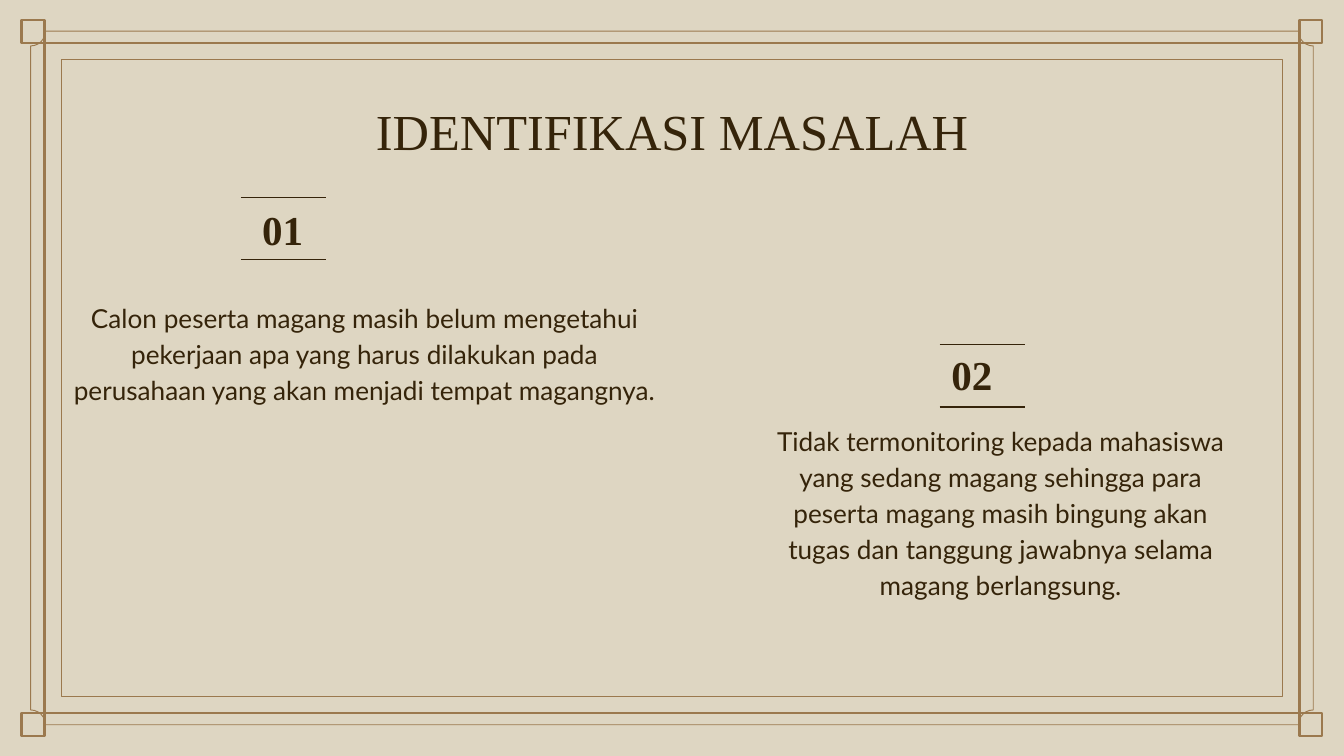
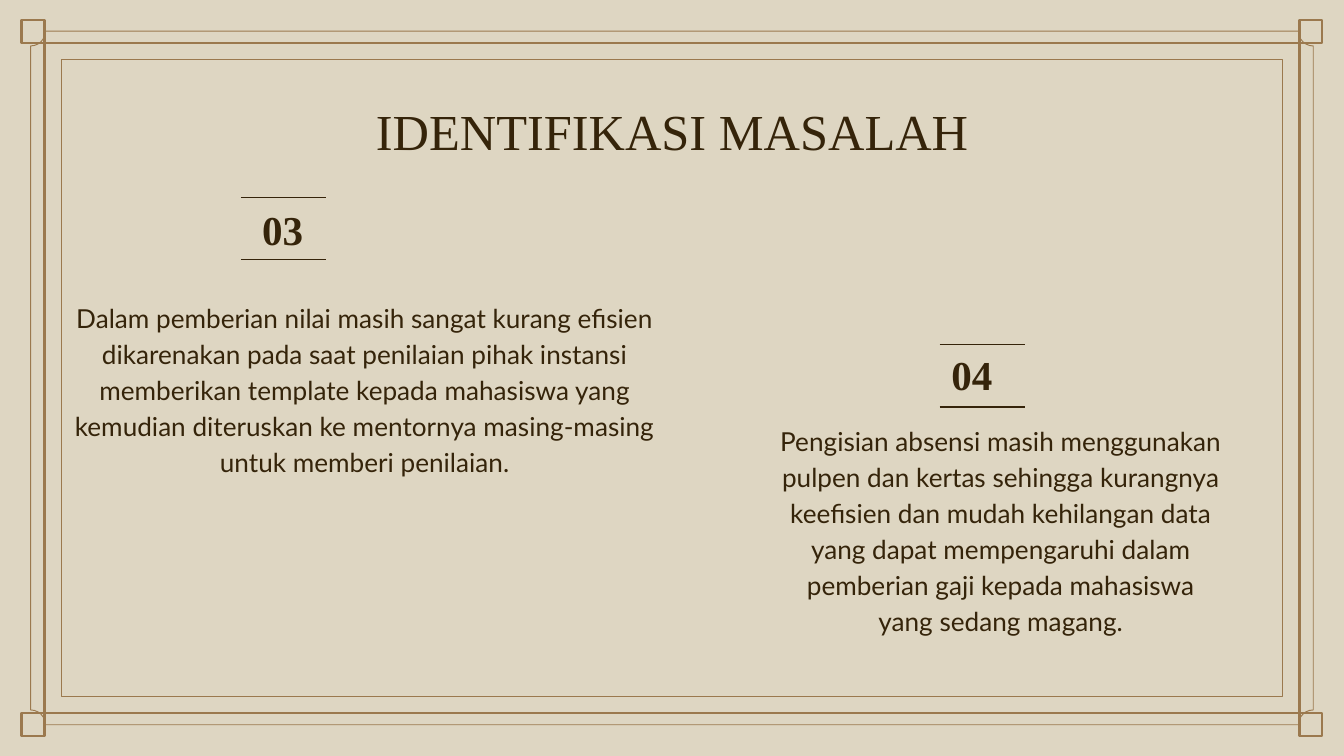
from lxml import etree
from pptx import Presentation
from pptx.dml.color import RGBColor
from pptx.enum.shapes import MSO_CONNECTOR as CONN, MSO_SHAPE as SHAPE
from pptx.enum.text import MSO_ANCHOR as ANCHOR, PP_ALIGN as ALIGN
from pptx.oxml.ns import qn
from pptx.util import Cm, Pt

TITLE = "IDENTIFIKASI MASALAH"
SLIDES = [
    [
        ("01", "Calon peserta magang masih belum mengetahui pekerjaan apa yang harus "
               "dilakukan pada perusahaan yang akan menjadi tempat magangnya."),
        ("02", "Tidak termonitoring kepada mahasiswa yang sedang magang sehingga para "
               "peserta magang masih bingung akan tugas dan tanggung jawabnya selama "
               "magang berlangsung."),
    ],
    [
        ("03", "Dalam pemberian nilai masih sangat kurang efisien dikarenakan pada saat "
               "penilaian pihak instansi memberikan template kepada mahasiswa yang "
               "kemudian diteruskan ke mentornya masing-masing untuk memberi penilaian."),
        ("04", "Pengisian absensi masih menggunakan pulpen dan kertas sehingga kurangnya "
               "keefisien dan mudah kehilangan data yang dapat mempengaruhi dalam "
               "pemberian gaji kepada mahasiswa yang sedang magang."),
    ],
]

BACK, BRONZE, INK = "DED6C2", "9B794E", "35240A"
W, H = 25.4, 14.29
THICK, THIN, RULE = 1.28, 0.5, 0.75
CORNER, NOTCH = 0.43, 0.28
CORNER_X, CORNER_Y = 0.41, 0.38
FRAMES = [
    (SHAPE.RECTANGLE, 0.84, 0.81, THICK),
    (SHAPE.RECTANGLE, 1.17, 1.12, THIN),
    (SHAPE.PLAQUE, 0.58, 0.59, THIN),
]

TITLE_BOX = (2, 1.65, 21.4, 1.6)
COLUMNS = [
    dict(number=(4.34, 3.71, 2, 1.24), body=(1.09, 5.38, 11.61, 3.1),
         rule_x=4.55, rules_y=(3.73, 4.91)),
    dict(number=(17.37, 6.45, 2, 1.24), body=(14.43, 7.7, 8.97, 4.65),
         rule_x=17.76, rules_y=(6.51, 7.69)),
]
RULE_W = 1.61

TITLE_FONT = dict(name="Times New Roman", size=Pt(27), bold=False)
NUMBER_FONT = dict(name="Times New Roman", size=Pt(22), bold=True)
BODY_FONT = dict(name="Lato", size=Pt(14), bold=False)


def rgb(value):
    return RGBColor.from_string(value)


def set_line(sp, color, width):
    sp.line.color.rgb = rgb(color)
    sp.line.width = Pt(width)


def add_outline(slide, kind, box, width):
    sp = slide.shapes.add_shape(kind, *map(Cm, box))
    sp.shadow.inherit = False
    sp.fill.background()
    set_line(sp, BRONZE, width)
    return sp


def add_frame(slide):
    for kind, dx, dy, width in FRAMES:
        w, h = W - 2 * dx, H - 2 * dy
        sp = add_outline(slide, kind, (dx, dy, w, h), width)
        if kind == SHAPE.PLAQUE:
            sp.adjustments[0] = NOTCH / h
    for x in (CORNER_X, W - CORNER_X - CORNER):
        for y in (CORNER_Y, H - CORNER_Y - CORNER):
            add_outline(slide, SHAPE.RECTANGLE, (x, y, CORNER, CORNER), THICK)


def add_text(slide, text, box, font, anchor=ANCHOR.TOP, spacing=1.0):
    tf = slide.shapes.add_textbox(*map(Cm, box)).text_frame
    tf.word_wrap = True
    tf.vertical_anchor = anchor
    for side in ("left", "top", "right", "bottom"):
        setattr(tf, f"margin_{side}", Cm(0.25))
    p = tf.paragraphs[0]
    p.alignment = ALIGN.CENTER
    p.line_spacing = spacing
    r = p.add_run()
    r.text = text
    for key, value in font.items():
        setattr(r.font, key, value)
    r.font.color.rgb = rgb(INK)


def add_rule(slide, x, y):
    ln = slide.shapes.add_connector(CONN.STRAIGHT, Cm(x), Cm(y), Cm(x + RULE_W), Cm(y))
    set_line(ln, INK, RULE)
    etree.SubElement(ln._element.spPr, qn("a:effectLst"))


def add_problem(slide, column, number, text):
    add_text(slide, text, column["body"], BODY_FONT, spacing=1.15)
    add_text(slide, number, column["number"], NUMBER_FONT, ANCHOR.MIDDLE)
    for y in column["rules_y"]:
        add_rule(slide, column["rule_x"], y)


def main():
    prs = Presentation()
    prs.slide_width, prs.slide_height = Cm(W), Cm(H)
    fill = prs.slide_master.background.fill
    fill.solid()
    fill.fore_color.rgb = rgb(BACK)
    for problems in SLIDES:
        slide = prs.slides.add_slide(prs.slide_layouts[6])
        add_frame(slide)
        add_text(slide, TITLE, TITLE_BOX, TITLE_FONT)
        for column, (number, text) in zip(COLUMNS, problems):
            add_problem(slide, column, number, text)
    prs.save("out.pptx")


if __name__ == "__main__":
    main()
